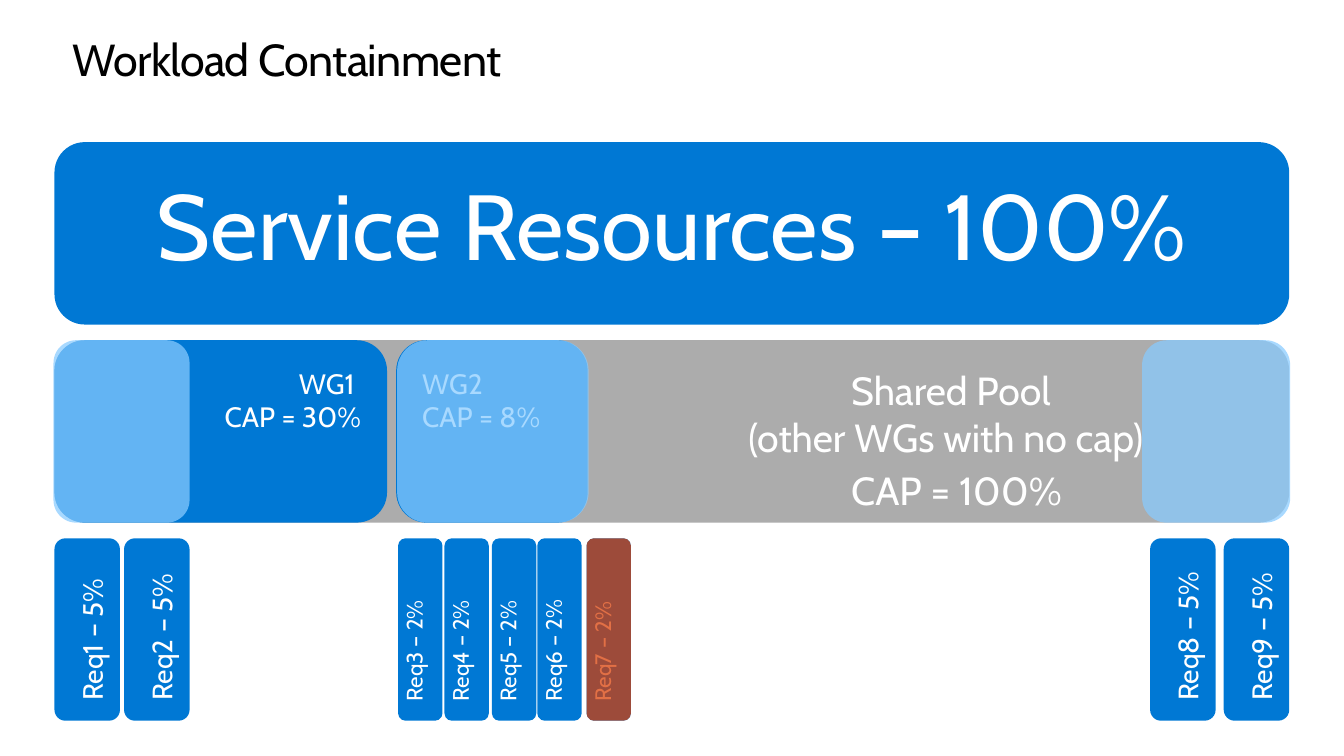
from pptx import Presentation
from pptx.dml.color import RGBColor
from pptx.enum.shapes import MSO_SHAPE
from pptx.enum.text import MSO_ANCHOR, PP_ALIGN
from pptx.util import Pt
from lxml import etree

ROUND = MSO_SHAPE.ROUNDED_RECTANGLE
TOP = MSO_ANCHOR.TOP
LEFT, CENTER, RIGHT = PP_ALIGN.LEFT, PP_ALIGN.CENTER, PP_ALIGN.RIGHT

FONT = "Cabin"
BLACK = RGBColor(0x00, 0x00, 0x00)
WHITE = RGBColor(0xFF, 0xFF, 0xFF)
BLUE = RGBColor(0x00, 0x78, 0xD4)
GRAY = RGBColor(0xAC, 0xAC, 0xAC)
LIGHT_BLUE = RGBColor(0x88, 0xCB, 0xFF)
ORANGE = RGBColor(0xD8, 0x3B, 0x01)

# Content
TITLE = "Workload Containment"
SERVICE = "Service Resources – 100%"
# text, left indent, space before
POOL_LINES = [("Shared Pool", 550.5, 0),
              ("(other WGs with no cap)", 477, 0),
              ("CAP = 100%", 550.5, 4)]
# left, width, lines, alignment
WORKGROUPS = [(38.9, 237.6, ["WG1 ", "CAP = 30%"], RIGHT),
              (283, 136.8, ["WG2", "CAP = 8%"], LEFT)]
# left, text
LARGE_REQUESTS = [(38.9, "Req1 – 5%"), (88.6, "Req2 – 5%"),
                  (821.5, "Req8 – 5%"), (874.1, "Req9 – 5%")]
SMALL_REQUESTS = [(284.4, "Req3 – 2%"), (317.5, "Req4 – 2%"),
                  (351.4, "Req5 – 2%"), (383.8, "Req6 – 2%"),
                  (419, "Req7 – 2%")]
# left, width of the used share of each pool
USED = [(283.7, 136.8), (38.2, 97.2), (815.8, 105.8)]

# Layout
BAR_LEFT, BAR_WIDTH, BAR_HEIGHT = 38.9, 882, 130.3
SERVICE_TOP, POOL_TOP, REQUEST_TOP = [101.5 + 141.5 * i for i in range(3)]
LARGE_WIDTH, SMALL_WIDTH = 46.8, 31.7
INSETS, SMALL_INSETS = (12.24,) * 4, (0, 0, 14.4, 12.24)
OVERLAY_ALPHA = 73


def add_box(left, top, width, color, alpha=100):
    s = slide.shapes.add_shape(ROUND, Pt(left), Pt(top), Pt(width), Pt(BAR_HEIGHT))
    s.shadow.inherit = False
    s.fill.solid()
    s.fill.fore_color.rgb = color
    s.line.fill.background()
    if alpha < 100:
        rgb = s.fill._xPr.solidFill.srgbClr
        tag = etree.QName(rgb).namespace
        etree.SubElement(rgb, f"{{{tag}}}alpha").set("val", str(alpha * 1000))
    return s


def add_text(s, lines, size, color=WHITE, align=LEFT, insets=INSETS, vertical=False):
    tf = s.text_frame
    tf.word_wrap = True
    tf.vertical_anchor = TOP
    tf.margin_left, tf.margin_top, tf.margin_right, tf.margin_bottom = map(Pt, insets)
    if vertical:
        tf._txBody.bodyPr.set("vert", "vert270")
    for i, line in enumerate(lines):
        p = tf.add_paragraph() if i else tf.paragraphs[0]
        p.alignment = align
        r = p.add_run()
        r.text = line
        r.font.name = FONT
        r.font.size = Pt(size)
        r.font.color.rgb = color
    return tf


prs = Presentation()
prs.slide_width, prs.slide_height = Pt(960), Pt(540)
slide = prs.slides.add_slide(prs.slide_layouts[6])

# Title
title = slide.shapes.add_textbox(Pt(51.8), Pt(25.2), Pt(856.8), Pt(36))
p = add_text(title, [TITLE], 32, BLACK, insets=(0,) * 4).paragraphs[0]
p.line_spacing = Pt(36.2)
p.runs[0].font._element.set("spc", "-50")

# Service and shared pool bars
add_text(add_box(BAR_LEFT, SERVICE_TOP, BAR_WIDTH, BLUE), [SERVICE], 66, align=CENTER)
pool = add_box(BAR_LEFT, POOL_TOP, BAR_WIDTH, GRAY)
tf = add_text(pool, [text for text, _, _ in POOL_LINES], 28)
for p, (_, indent, before) in zip(tf.paragraphs, POOL_LINES):
    pPr = p._p.get_or_add_pPr()
    pPr.set("marL", str(Pt(indent)))
    pPr.set("indent", "0")
    p.space_before = Pt(before)

# Workgroups
for left, width, lines, align in WORKGROUPS:
    add_text(add_box(left, POOL_TOP, width, BLUE), lines, 20, align=align)

# Requests
for requests, width, size, insets in [(LARGE_REQUESTS, LARGE_WIDTH, 20, INSETS),
                                      (SMALL_REQUESTS, SMALL_WIDTH, 16, SMALL_INSETS)]:
    for left, text in requests:
        add_text(add_box(left, REQUEST_TOP, width, BLUE), [text], size,
                 insets=insets, vertical=True)

# Translucent overlays: the rejected request and the used shares
add_box(SMALL_REQUESTS[-1][0], REQUEST_TOP, SMALL_WIDTH, ORANGE, OVERLAY_ALPHA)
for left, width in USED:
    add_box(left, POOL_TOP, width, LIGHT_BLUE, OVERLAY_ALPHA)

prs.save("out.pptx")
